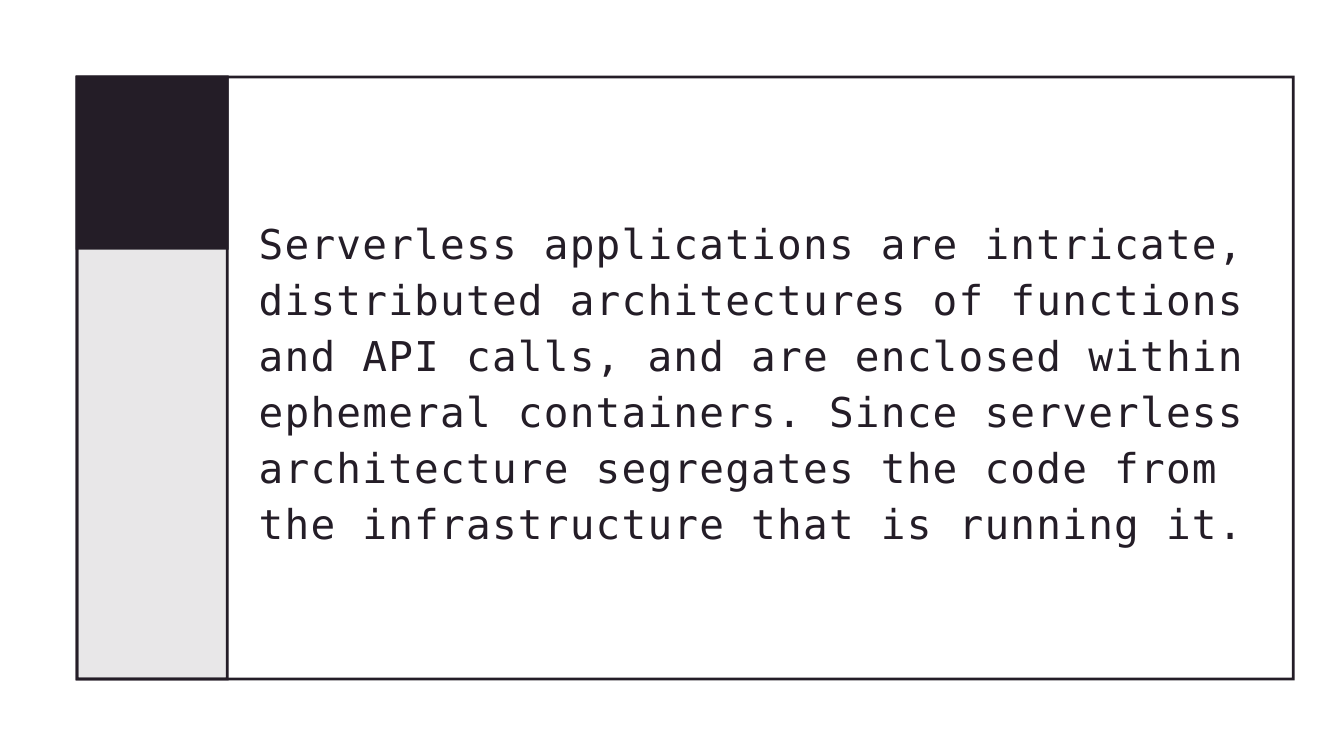
import pptx
import pptx.util
import pptx.dml.color
import pptx.enum.shapes
import lxml.etree

Inches, Pt = pptx.util.Inches, pptx.util.Pt
RECT = pptx.enum.shapes.MSO_SHAPE.RECTANGLE

theme = {
    "ink": pptx.dml.color.RGBColor.from_string("241D27"),
    "font": "DejaVu Sans Mono",
    "size": Pt(44),
    "lead": Pt(59.8),
    "track": "130",
    "tint": "10000",
}

deck = pptx.Presentation()
deck.slide_width, deck.slide_height = Inches(20), Inches(11.25)
slide = deck.slides.add_slide(deck.slide_layouts[6])

# Grid: a margin of a tenth of the height, a side strip and a wide panel
edge = deck.slide_height // 10
tall = deck.slide_height - 2 * edge
wide = Inches(18.14)
strip = wide // 8 + Inches(0.01)
block = Inches(2.59)
rule = Inches(0.04)


def paint(shape):
    shape.shadow.inherit = False
    shape.fill.solid()
    shape.fill.fore_color.rgb = theme["ink"]
    shape.line.fill.background()
    return shape


def frame(width):
    right, base = edge + width, edge + tall
    pen = slide.shapes.build_freeform(edge, edge)
    pen.add_line_segments([(edge, base), (right, base), (right, edge)])
    near, far, low = edge + rule, right - rule, base - rule
    pen.move_to(far, low)
    pen.add_line_segments([(near, low), (near, near), (far, near)])
    paint(pen.convert_to_shape())


# Outer frame, tinted strip and strip frame
frame(wide)
pale = paint(slide.shapes.add_shape(RECT, edge, edge + block, strip, tall - block))
tone = pale.fill._xPr.find(".//" + pptx.oxml.ns.qn("a:srgbClr"))
lxml.etree.SubElement(tone, pptx.oxml.ns.qn("a:alpha"), val=theme["tint"])
frame(strip)

# Statement
left = Inches(3.85)
box = slide.shapes.add_textbox(left, Inches(3.16), edge + wide - left, Inches(4.91))
text = box.text_frame
text.word_wrap = True
text.margin_left = text.margin_right = text.margin_top = text.margin_bottom = 0
para = text.paragraphs[0]
para.text = (
    "Serverless applications are intricate, distributed architectures of "
    "functions and API calls, and are enclosed within ephemeral containers. "
    "Since serverless architecture segregates the code from the "
    "infrastructure that is running it."
)
para.line_spacing = theme["lead"]
para.font.name, para.font.size = theme["font"], theme["size"]
para.font.color.rgb = theme["ink"]
para.runs[0]._r.get_or_add_rPr().set("spc", theme["track"])

# Dark block at the head of the strip
paint(slide.shapes.add_shape(RECT, edge, edge, strip, block))

deck.save("out.pptx")
